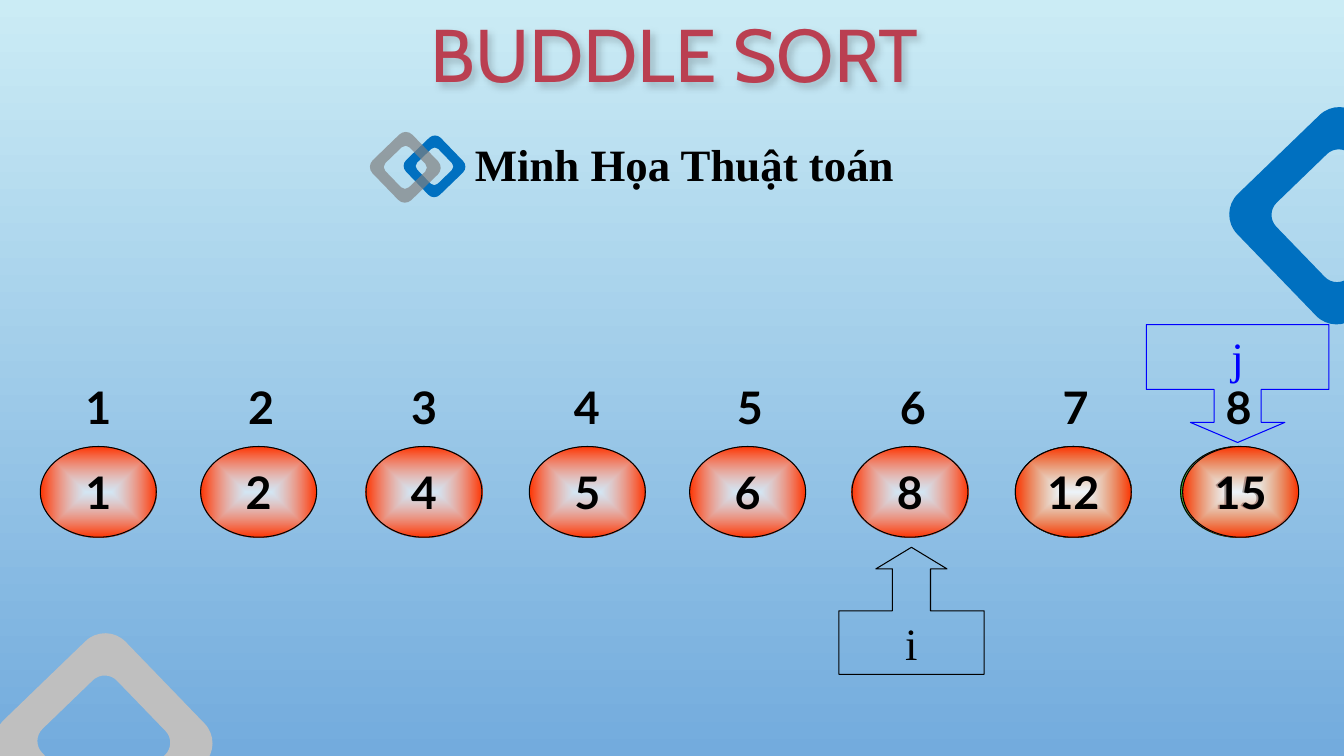
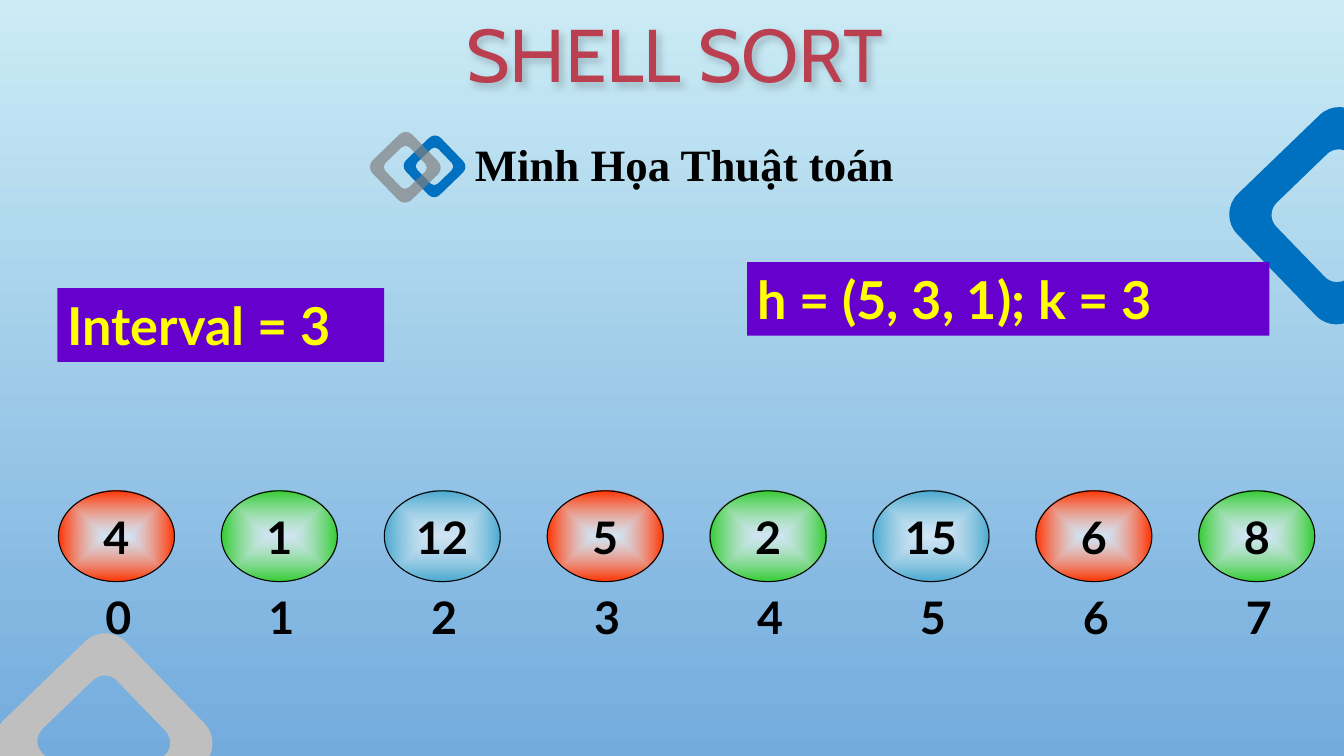
from dataclasses import dataclass

from lxml import etree
from pptx import Presentation
from pptx.dml.color import RGBColor
from pptx.enum import shapes, text
from pptx.oxml.ns import qn
from pptx.util import Inches, Pt


@dataclass(frozen=True)
class Theme:
    sky: str = "CBECF5"
    dusk: str = "73ABDD"
    ink: str = "000000"
    white: str = "FFFFFF"
    red: str = "FF3300"
    green: str = "33CC33"
    teal: str = "48A8D0"
    blue: str = "0070C0"
    silver: str = "BFBFBF"
    grey: str = "808080"
    pointer_blue: str = "0000FF"
    purple: str = "6600CC"
    yellow: str = "FFFF00"
    title_stops: tuple = ((0, "5D2028"), (50, "BA3F51"), (100, "D78A95"))
    title_font: str = "Cabin"
    number_font: str = "Lato"
    serif_font: str = "Times New Roman"
    title_size: float = 53.3
    banner_size: float = 37.3
    text_size: float = 32


THEME = Theme()
PITCH = 11.31 / 7
CELL_SIZE = (1.15, 0.9)
CELL_COUNT = 8
ARC_PULL = 0.55


def add_child(parent, tag, **attributes):
    return etree.SubElement(parent, qn(tag), {k: str(v) for k, v in attributes.items()})


def add_color(parent, color, opacity=100):
    element = add_child(parent, "a:srgbClr", val=color)
    if opacity < 100:
        add_child(element, "a:alpha", val=opacity * 1000)


def set_gradient(fill, properties, stops, angle=None):
    fill.gradient()
    gradient = properties.find(qn("a:gradFill"))
    for child in list(gradient):
        gradient.remove(child)
    stop_list = add_child(gradient, "a:gsLst")
    for position, *color in stops:
        add_color(add_child(stop_list, "a:gs", pos=position * 1000), *color)
    if angle is None:
        center = add_child(gradient, "a:path", path="shape")
        add_child(center, "a:fillToRect", l=50000, t=50000, r=50000, b=50000)
    else:
        add_child(gradient, "a:lin", ang=angle * 60000, scaled=0)


def write(shape, content, *, font, size, color=THEME.ink, bold=False,
          align=text.PP_ALIGN.CENTER, side_inset=0.1):
    frame = shape.text_frame
    frame.word_wrap = True
    frame.auto_size = text.MSO_AUTO_SIZE.NONE
    frame.vertical_anchor = text.MSO_ANCHOR.MIDDLE
    frame.margin_left = frame.margin_right = Inches(side_inset)
    frame.margin_top = frame.margin_bottom = Inches(0.05)
    paragraph = frame.paragraphs[0]
    paragraph.alignment = align
    run = paragraph.add_run()
    run.text = content
    run.font.name = font
    run.font.size = Pt(size)
    run.font.bold = bold
    run.font.color.rgb = RGBColor.from_string(color)
    return run


def add_preset(slide, kind, box, fill=None, line=None):
    shape = slide.shapes.add_shape(kind, *map(Inches, box))
    shape.shadow.inherit = False
    if fill:
        shape.fill.solid()
        shape.fill.fore_color.rgb = RGBColor.from_string(fill)
    else:
        shape.fill.background()
    if line:
        shape.line.color.rgb = RGBColor.from_string(line)
        shape.line.width = Pt(0.75)
    else:
        shape.line.fill.background()
    return shape


def rounded_square(center_x, center_y, half, radius):
    reach = half - radius
    offsets = ((half, reach), (reach, half), (-reach, half), (-half, reach),
               (-half, -reach), (-reach, -half), (reach, -half), (half, -reach))
    return [(Inches(center_x + x), Inches(center_y + y)) for x, y in offsets]


def round_corners(path):
    corner_count = 0
    is_corner = True
    current = None
    for segment in list(path):
        if segment.tag == qn("a:close"):
            continue
        point = segment.find(qn("a:pt"))
        end = (int(point.get("x")), int(point.get("y")))
        if segment.tag == qn("a:moveTo"):
            is_corner = True
        else:
            if is_corner:
                vertical_first = corner_count % 2 == 0
                vertex = (current[0], end[1]) if vertical_first else (end[0], current[1])
                segment.remove(point)
                curve = etree.Element(qn("a:cubicBezTo"))
                for anchor in (current, end):
                    x, y = (round(a + ARC_PULL * (v - a)) for a, v in zip(anchor, vertex))
                    add_child(curve, "a:pt", x=x, y=y)
                curve.append(point)
                path.replace(segment, curve)
                corner_count += 1
            is_corner = not is_corner
        current = end


def add_ring(container, center_x, center_y, size, color, opacity=100):
    outer = rounded_square(center_x, center_y, size / 2, size / 6)
    inner = rounded_square(center_x, center_y, size * 0.305, size / 10)
    inner = inner[::-1]
    builder = container.build_freeform(*outer[0], scale=1.0)
    builder.add_line_segments(outer[1:])
    builder.move_to(*inner[0])
    builder.add_line_segments(inner[1:])
    ring = builder.convert_to_shape()
    round_corners(next(ring._element.spPr.iter(qn("a:path"))))
    ring.rotation = 316
    ring.shadow.inherit = False
    ring.line.fill.background()
    ring.fill.solid()
    ring.fill.fore_color.rgb = RGBColor.from_string(color)
    if opacity < 100:
        color_element = next(ring._element.spPr.iter(qn("a:srgbClr")))
        add_child(color_element, "a:alpha", val=opacity * 1000)


def add_title(slide, content):
    title = slide.shapes.title
    title.left, title.top, title.width, title.height = map(Inches, (0, 0, 13.38, 1.05))
    run = write(title, content, font=THEME.title_font, size=THEME.title_size)
    set_gradient(run.font.fill, run.font._element, THEME.title_stops, 90)
    effects = add_child(title._element.spPr, "a:effectLst")
    shadow = add_child(effects, "a:outerShdw", blurRad=60000, dist=38100,
                       dir=2700000, algn="tl", rotWithShape=0)
    add_color(shadow, THEME.ink, 18)


def add_sort_slide(presentation, title):
    slide = presentation.slides.add_slide(presentation.slide_layouts[5])
    add_title(slide, title)
    add_ring(slide.shapes, 1.03, 7.36, 1.69, THEME.silver)
    add_ring(slide.shapes, 13.27, 2.14, 1.69, THEME.blue)
    emblem = slide.shapes.add_group_shape()
    add_ring(emblem.shapes, 4.31, 1.65, 0.48, THEME.blue)
    add_ring(emblem.shapes, 4.02, 1.66, 0.55, THEME.grey, 69)
    subtitle = slide.shapes.add_textbox(*map(Inches, (4.71, 1.35, 4.45, 0.55)))
    write(subtitle, "Minh Họa Thuật toán", font=THEME.serif_font, size=THEME.text_size,
          bold=True, align=text.PP_ALIGN.LEFT, side_inset=0)
    return slide


def row_lefts(start):
    return [start + PITCH * index for index in range(CELL_COUNT)]


def add_cell(slide, value, left, top, color=None):
    line = THEME.ink if color else None
    cell = add_preset(slide, shapes.MSO_SHAPE.OVAL, (left, top, *CELL_SIZE), line=line)
    if color:
        set_gradient(cell.fill, cell._element.spPr, ((0, THEME.white, 60), (100, color)))
    write(cell, str(value), font=THEME.number_font, size=THEME.text_size, bold=True)


def add_indexes(slide, first, start, top):
    for index, left in enumerate(row_lefts(start), first):
        add_cell(slide, index, left, top)


def add_pointer(slide, kind, box, adjustments, name, color):
    pointer = add_preset(slide, kind, box, line=color)
    for index, value in enumerate(adjustments):
        pointer.adjustments[index] = value
    write(pointer, name, font=THEME.serif_font, size=THEME.text_size, color=color)


def add_banner(slide, content, box):
    banner = add_preset(slide, shapes.MSO_SHAPE.RECTANGLE, box, fill=THEME.purple)
    write(banner, content, font=THEME.number_font, size=THEME.banner_size,
          color=THEME.yellow, bold=True, align=text.PP_ALIGN.LEFT)


def build_bubble_slide(presentation):
    slide = add_sort_slide(presentation, "BUDDLE SORT")
    top = 4.43
    values = ((1, 0.4), (2, 1.99), (4, 3.63), (5, 5.25), (6, 6.84), (8, 8.45))
    for value, left in values:
        add_cell(slide, value, left, top, THEME.red)
    settled = ((12, 10.07, 10.07), (15, 11.71, 11.73))
    for value, left, _ in settled:
        add_cell(slide, value, left, top, THEME.green)
    add_indexes(slide, 1, 0.4, 3.58)
    add_pointer(slide, shapes.MSO_SHAPE.UP_ARROW_CALLOUT, (8.32, 5.43, 1.44, 1.26),
                (0.3, 0.28, 0.17, 0.5), "i", THEME.ink)
    add_pointer(slide, shapes.MSO_SHAPE.DOWN_ARROW_CALLOUT, (11.37, 3.22, 1.81, 1.17),
                (0.4, 0.4, 0.17, 0.55), "j", THEME.pointer_blue)
    for value, _, left in settled:
        add_cell(slide, value, left, top, THEME.red)


def build_shell_slide(presentation):
    slide = add_sort_slide(presentation, "SHELL SORT")
    group_colors = (THEME.red, THEME.green, THEME.teal)
    values = (4, 1, 12, 5, 2, 15, 6, 8)
    for index, (value, left) in enumerate(zip(values, row_lefts(0.58))):
        add_cell(slide, value, left, 4.87, group_colors[index % 3])
    add_banner(slide, "h = (5, 3, 1); k = 3", (7.41, 2.6, 5.18, 0.73))
    add_banner(slide, "Interval = 3", (0.57, 2.86, 3.24, 0.73))
    add_indexes(slide, 0, 0.6, 5.67)


def main():
    presentation = Presentation()
    presentation.slide_width = Inches(13.33)
    presentation.slide_height = Inches(7.5)
    fill = presentation.slide_master.background.fill
    fill.gradient()
    properties = next(presentation.slide_master._element.iter(qn("p:bgPr")))
    set_gradient(fill, properties, ((0, THEME.sky), (100, THEME.dusk)), 90)
    build_bubble_slide(presentation)
    build_shell_slide(presentation)
    presentation.save("out.pptx")


if __name__ == "__main__":
    main()
